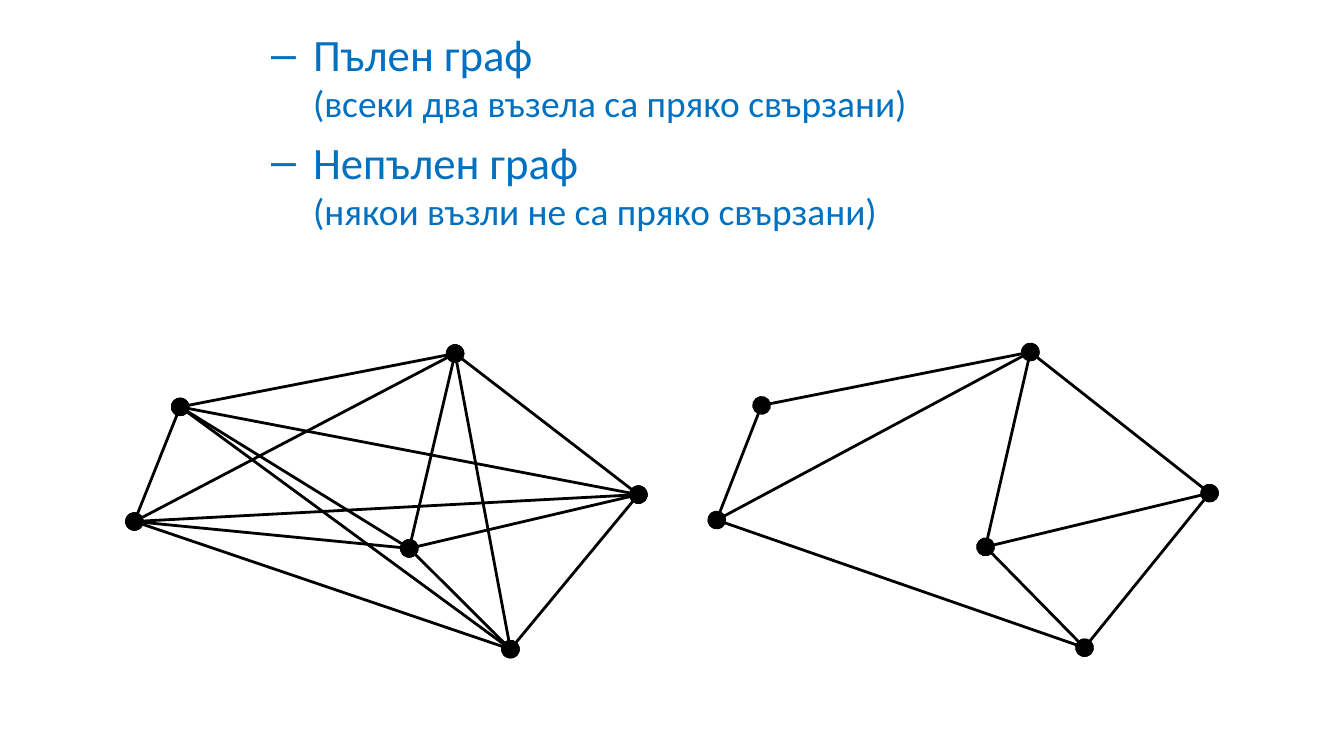
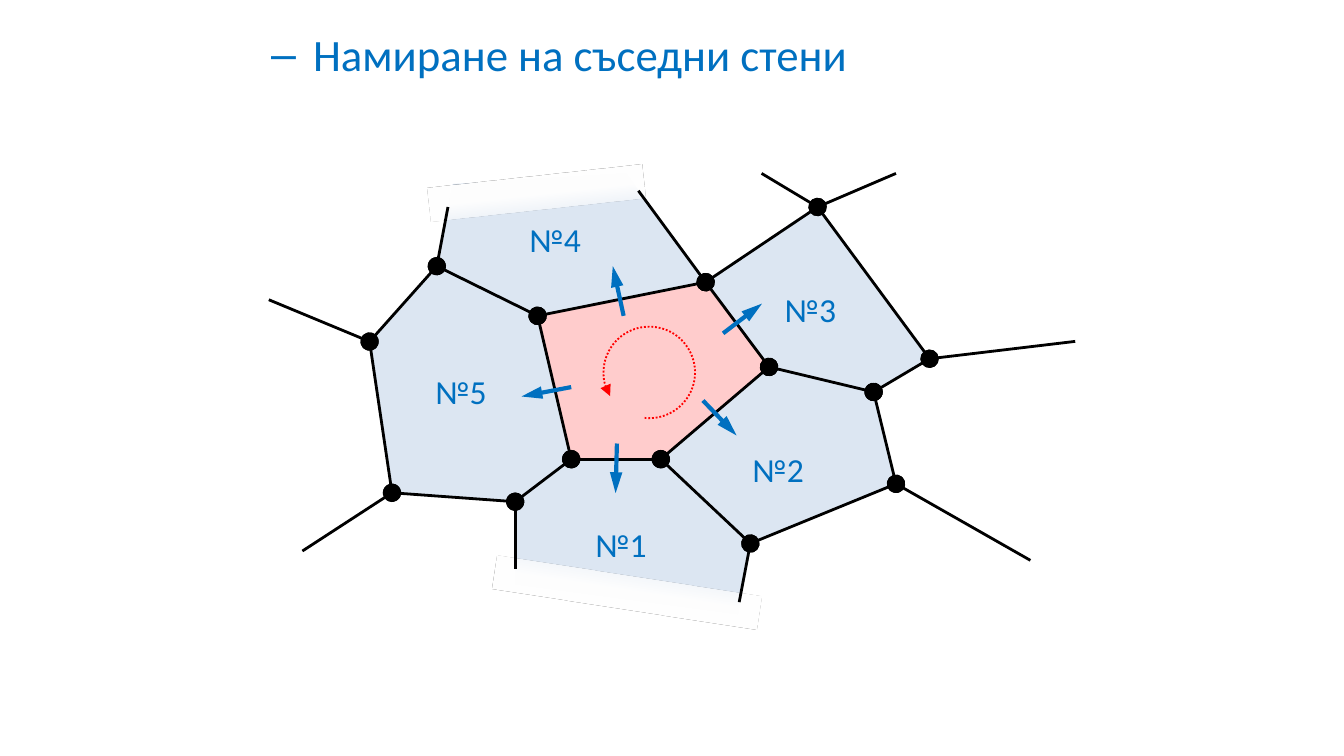
from dataclasses import dataclass
from itertools import combinations

from lxml.etree import SubElement
from pptx import Presentation
from pptx.dml.color import RGBColor
from pptx.enum.dml import MSO_LINE
from pptx.enum.shapes import MSO_CONNECTOR, MSO_SHAPE
from pptx.enum.text import MSO_AUTO_SIZE
from pptx.oxml import parse_xml
from pptx.oxml.ns import nsdecls, qn
from pptx.util import Pt


@dataclass(frozen=True)
class Theme:
    font: str = "Calibri"
    accent: str = "0070C0"
    edge: str = "000000"
    neighbour: str = "DCE6F2"
    core: str = "FFCCCC"
    turn: str = "FF0000"
    topic_size: float = 24
    note_size: float = 20
    label_size: float = 18
    edge_width: float = 1.5
    arrow_width: float = 2.25
    turn_width: float = 1


THEME = Theme()

# ---- Content: texts as (topic, note) ----
GRAPH_TOPICS = [
    ("Пълен граф", "(всеки два възела са пряко свързани)"),
    ("Непълен граф", "(някои възли не са пряко свързани)"),
]
FACE_TOPICS = [("Намиране на съседни стени", None)]

# ---- Content: the two graphs share one set of nodes ----
GRAPH_NODES = {
    "left": (0, 90), "upper": (24, 28.6), "top": (168, 0),
    "right": (264, 75.6), "inner": (144, 104.4), "bottom": (197, 158.4),
}
COMPLETE_EDGES = list(combinations(GRAPH_NODES, 2))
INCOMPLETE_EDGES = [
    ("left", "top"), ("left", "upper"), ("left", "bottom"),
    ("upper", "top"), ("top", "inner"), ("top", "right"),
    ("right", "bottom"), ("right", "inner"), ("inner", "bottom"),
]
GRAPHS = [  # left, top, width, edges
    (72, 189.4, 270, COMPLETE_EDGES),
    (384, 188.6, 264, INCOMPLETE_EDGES),
]

# ---- Content: the mesh of faces ----
MESH_NODES = {
    "core_ne": (378, 151.2), "core_e": (412, 196.6), "core_se": (354, 246),
    "core_sw": (306, 246), "core_nw": (288, 169.2),
    "peak": (438, 110.9), "east": (498, 192.2), "notch": (468, 210),
    "southeast": (480, 259.2), "south": (402, 291.2),
    "southwest": (276, 268.8), "west_low": (210, 264),
    "west": (198, 183), "northwest": (234, 142.6),
}
CORE = ["core_ne", "core_e", "core_se", "core_sw", "core_nw"]
OUTLINE = [
    (242.6, 98.6), "northwest", "west", "west_low", "southwest",
    (276, 313), (395.3, 329), "south", "southeast", "notch", "east",
    "peak", "core_ne", (335.5, 92.9),
]
MESH_EDGES = list(zip(CORE, CORE[1:] + CORE[:1])) + [
    ("notch", "east"), ("core_sw", "southwest"), ("northwest", "core_nw"),
    ("core_ne", "peak"), ("notch", "southeast"), ("core_se", "south"),
    ("west_low", "southwest"), ("southeast", "south"), ("peak", "east"),
    ("west", "northwest"), ("west", "west_low"), ("core_e", "notch"),
]
OPEN_EDGES = [
    ("core_ne", (342, 102.2)), ("southeast", (552, 300.2)),
    ("south", (396, 322.6)), ("southwest", (276, 304.6)),
    ("east", (576, 182.9)), ("peak", (480, 92.9)), ("peak", (408, 92.9)),
    ("northwest", (240, 110.9)), ("west", (144, 160.6)),
    ("west_low", (162, 295.2)),
]
FADES = [  # left, top, width, height, rotation
    (229.7, 94.3, 115.2, 18, 353.8),
    (264.2, 308.2, 143.3, 18, 188.7),
]
FACES = [  # label, label corner, arrow start, arrow end
    ("№1", (311.8, 277.2), (330.5, 237.6), (329.8, 264.2)),
    ("№2", (396, 236.9), (376.6, 214.6), (394.6, 233.3)),
    ("№3", (413.3, 151.2), (387.4, 178.6), (408.2, 162.7)),
    ("№4", (276.5, 113.8), (334.1, 169.2), (328.3, 142.6)),
    ("№5", (226.1, 195.1), (306, 207.4), (279.4, 212.4)),
]
TURN = (323.3, 175, 49, 49)
TURN_ANGLES = (264.13, 211.12)


# ---- Helpers ----
def points(*lengths):
    return [Pt(length) for length in lengths]


def colour(code):
    return RGBColor.from_string(code)


def style_text(paragraph, size):
    for run in paragraph.runs:
        run.font.name = THEME.font
        run.font.size = Pt(size)
        run.font.color.rgb = colour(THEME.accent)


def add_topics(slide, topics):
    """Fill the body placeholder with dashed topics and indented notes."""
    title = slide.shapes.title
    title._element.getparent().remove(title._element)
    body = slide.placeholders[1]
    body.left, body.top, body.width, body.height = points(102, 10.8, 618, 372)
    frame = body.text_frame
    frame.auto_size = MSO_AUTO_SIZE.NONE
    rows = [(text, is_note) for pair in topics
            for is_note, text in enumerate(pair) if text]
    for index, (text, is_note) in enumerate(rows):
        paragraph = frame.paragraphs[0] if index == 0 else frame.add_paragraph()
        paragraph.text = text
        paragraph.level = 2 if is_note else 1
        paragraph.space_before = Pt(0 if is_note else 0.2 * THEME.topic_size)
        style_text(paragraph, THEME.note_size if is_note else THEME.topic_size)
        properties = paragraph._p.get_or_add_pPr()
        properties.set("marL", str(Pt(58.5)))
        properties.set("indent", str(Pt(0 if is_note else -22.5)))
        if is_note:
            SubElement(properties, qn("a:buNone"))
        else:
            SubElement(properties, qn("a:buChar")).set("char", "–")
    return body


def add_end(line_owner, end, kind, width, length):
    mark = SubElement(line_owner.line._get_or_add_ln(), qn(f"a:{end}"))
    for key, value in (("type", kind), ("w", width), ("len", length)):
        mark.set(key, value)


def add_line(shapes, start, end, code=THEME.edge, width=THEME.edge_width):
    line = shapes.add_connector(MSO_CONNECTOR.STRAIGHT, *points(*start, *end))
    line.line.color.rgb = colour(code)
    line.line.width = Pt(width)
    SubElement(line._element.spPr, qn("a:effectLst"))
    return line


def add_edge(shapes, start, end):
    """A line with a node dot at both ends."""
    edge = add_line(shapes, start, end)
    for tip in ("headEnd", "tailEnd"):
        add_end(edge, tip, "oval", "lg", "lg")


def add_face(shapes, corners, code, close):
    (first, *rest) = [points(*corner) for corner in corners]
    builder = shapes.build_freeform(*first)
    builder.add_line_segments(rest, close=close)
    face = builder.convert_to_shape()
    face.shadow.inherit = False
    face.fill.solid()
    face.fill.fore_color.rgb = colour(code)
    face.line.fill.background()


def add_fade(shapes, left, top, width, height, rotation):
    """A white strip that fades out over the open side of a face."""
    fade = shapes.add_shape(MSO_SHAPE.RECTANGLE,
                            *points(left, top, width, height))
    fade.rotation = rotation
    fade.line.fill.background()
    fade.shadow.inherit = False
    gradient = parse_xml(
        f'<a:gradFill {nsdecls("a")} rotWithShape="1"><a:gsLst>'
        '<a:gs pos="51000"><a:srgbClr val="FFFFFF"/></a:gs>'
        '<a:gs pos="100000"><a:srgbClr val="FFFFFF"><a:alpha val="0"/>'
        '</a:srgbClr></a:gs></a:gsLst><a:lin ang="5400000" scaled="0"/>'
        '</a:gradFill>')
    fade._element.spPr.find(qn("a:prstGeom")).addnext(gradient)


def add_label(shapes, text, corner):
    label = shapes.add_textbox(*points(*corner, 48, 29))
    label.text_frame.word_wrap = True
    label.text_frame.auto_size = MSO_AUTO_SIZE.SHAPE_TO_FIT_TEXT
    label.text_frame.text = text
    style_text(label.text_frame.paragraphs[0], THEME.label_size)


def add_turn(shapes):
    """The dotted arc that shows the walking direction."""
    turn = shapes.add_shape(MSO_SHAPE.ARC, *points(*TURN))
    for index, angle in enumerate(TURN_ANGLES):
        turn.adjustments[index] = angle * 0.6
    turn.rotation = 180
    turn._element.spPr.find(qn("a:xfrm")).set("flipH", "1")
    turn.shadow.inherit = False
    turn.fill.background()
    turn.line.color.rgb = colour(THEME.turn)
    turn.line.width = Pt(THEME.turn_width)
    turn.line.dash_style = MSO_LINE.ROUND_DOT
    add_end(turn, "tailEnd", "triangle", "med", "med")


def mesh_point(place):
    return MESH_NODES[place] if isinstance(place, str) else place


deck = Presentation()
deck.slide_width, deck.slide_height = points(720, 405)
layout = deck.slide_layouts[1]

# ---- Slide 1: complete and incomplete graph ----
graph_slide = deck.slides.add_slide(layout)
add_topics(graph_slide, GRAPH_TOPICS)
for left, top, width, edges in GRAPHS:
    stretch = width / GRAPH_NODES["right"][0]
    spots = {name: (left + x * stretch, top + y)
             for name, (x, y) in GRAPH_NODES.items()}
    graph = graph_slide.shapes.add_group_shape()
    for start, end in edges:
        add_edge(graph.shapes, spots[start], spots[end])

# ---- Slide 2: neighbouring faces ----
face_slide = deck.slides.add_slide(layout)
mesh = face_slide.shapes
topics_body = add_topics(face_slide, FACE_TOPICS)
add_face(mesh, [mesh_point(place) for place in OUTLINE], THEME.neighbour, False)
add_face(mesh, [mesh_point(place) for place in CORE], THEME.core, True)
mesh._spTree.append(topics_body._element)  # the text lies above the faces
for strip in FADES:
    add_fade(mesh, *strip)
for start, end in OPEN_EDGES:
    add_line(mesh, mesh_point(start), end)
for start, end in MESH_EDGES:
    add_edge(mesh, mesh_point(start), mesh_point(end))
add_turn(mesh)
for text, corner, start, end in FACES:
    add_label(mesh, text, corner)
    arrow = add_line(mesh, start, end, THEME.accent, THEME.arrow_width)
    add_end(arrow, "tailEnd", "triangle", "med", "lg")

deck.save("out.pptx")
